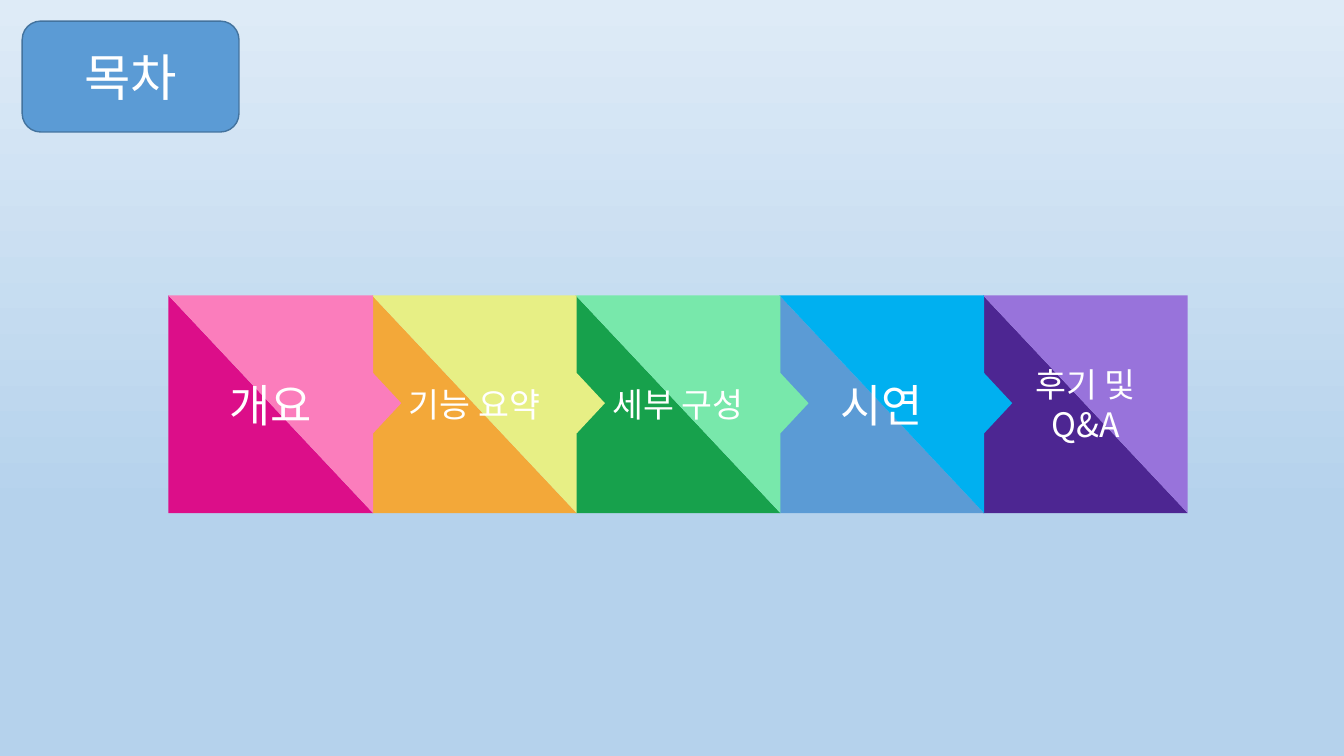
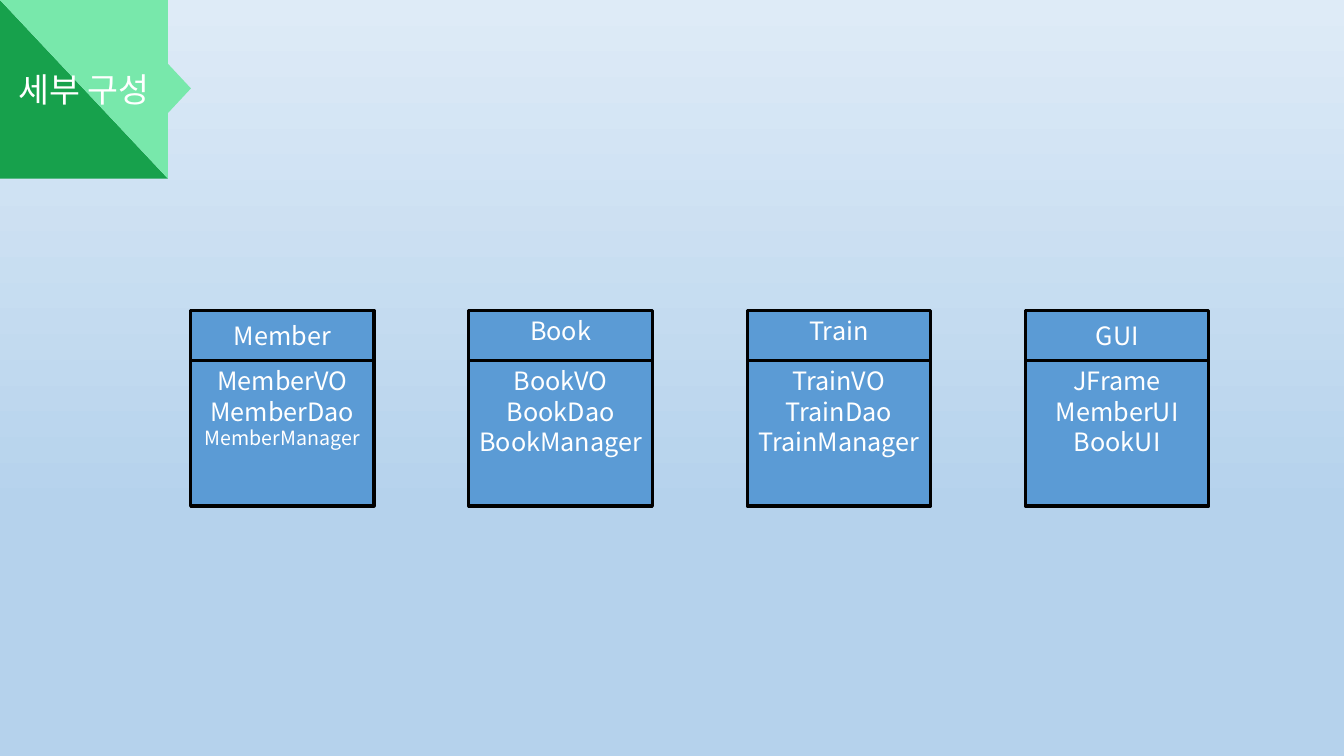
from dataclasses import dataclass

from lxml import etree
from pptx import Presentation
from pptx.dml.color import RGBColor
from pptx.enum.shapes import MSO_SHAPE as SHAPE
from pptx.enum.text import MSO_ANCHOR as ANCHOR, PP_ALIGN as ALIGN
from pptx.oxml.ns import qn
from pptx.util import Inches, Pt


@dataclass(frozen=True)
class Theme:
    """Colours, font and type sizes used on every slide."""
    font: str = "Noto Sans CJK KR"
    text: str = "FFFFFF"
    box: str = "5B9BD5"
    box_edge: str = "43739E"
    class_edge: str = "000000"
    sky: tuple = ((0, "DEEBF7"), (0.68, "B5D2EC"))
    pink: tuple = ("DC0E89", "FB7DBC")
    yellow: tuple = ("F3A839", "E7EF85")
    green: tuple = ("17A14C", "78E8AB")
    blue: tuple = ("5B9BD5", "00B0F0")
    purple: tuple = ("4D2692", "9873DB")
    title: int = 36
    large: int = 32
    medium: int = 24
    body: int = 18
    small: int = 14


T = Theme()


def add_box(shapes, kind, at, fill=None, edge=None, lines=(), anchor=ANCHOR.MIDDLE,
            margin=0.05):
    """Add a preset shape, or a text box when kind is None, with (text, size) lines."""
    at = [Inches(v) for v in at]
    if kind is None:
        sp = shapes.add_textbox(*at)
    else:
        sp = shapes.add_shape(kind, *at)
        sp.shadow.inherit = False
        sp.fill.solid()
        sp.fill.fore_color.rgb = RGBColor.from_string(fill)
        if edge:
            color, width = edge
            sp.line.color.rgb = RGBColor.from_string(color)
            sp.line.width = Pt(width)
        else:
            sp.line.fill.background()
    tf = sp.text_frame
    tf.word_wrap = True
    tf.vertical_anchor = anchor
    tf.margin_left = tf.margin_right = Inches(margin)
    for i, (text, size) in enumerate(lines):
        p = tf.add_paragraph() if i else tf.paragraphs[0]
        p.alignment = ALIGN.CENTER
        r = p.add_run()
        r.text = text
        r.font.size = Pt(size)
        r.font.color.rgb = RGBColor.from_string(T.text)
        r.font.name = T.font
        etree.SubElement(r._r.get_or_add_rPr(), qn("a:ea"), typeface=T.font)
    return sp


def add_tile(s, left, top, label, size, colors, scale=1.0, arrow=True):
    """Add a two-tone section tile, with a diamond pointing to the next one."""
    shapes = s.shapes.add_group_shape().shapes
    dark, light = colors
    at = (left, top, 2.03 * scale, 2.16 * scale)
    add_box(shapes, SHAPE.RIGHT_TRIANGLE, at, dark)
    add_box(shapes, SHAPE.RIGHT_TRIANGLE, at, light).rotation = 180
    if arrow:
        add_box(shapes, SHAPE.DIAMOND, (left + 1.75 * scale, top + 0.77 * scale,
                                        0.56 * scale, 0.6 * scale), light)
    add_box(shapes, None, at, lines=[(label, size)], margin=0.18 * scale)


prs = Presentation()
prs.slide_width, prs.slide_height = Inches(13.33), Inches(7.5)
blank = prs.slide_layouts[6]

# Shared background
sky = prs.slide_master.background.fill
sky.gradient()
sky.gradient_angle = 270
for stop, (position, color) in zip(sky.gradient_stops, T.sky):
    stop.position = position
    stop.color.rgb = RGBColor.from_string(color)

# Slide 1: contents
s = prs.slides.add_slide(blank)
sections = [
    ("개요", T.large, T.pink),
    ("기능 요약", T.medium, T.yellow),
    ("세부 구성", T.medium, T.green),
    ("시연", T.large, T.blue),
    ("후기 및 Q&A", T.medium, T.purple),
]
last = len(sections) - 1
# Right to left, so that each diamond lies over the next tile
for i in range(last, -1, -1):
    add_tile(s, 1.67 + 2.02 * i, 2.93, *sections[i], arrow=i < last)
add_box(s.shapes, SHAPE.ROUNDED_RECTANGLE, (0.22, 0.21, 2.15, 1.1), T.box,
        (T.box_edge, 1), [("목차", T.title)])

# Slide 2: classes by package
s = prs.slides.add_slide(blank)
add_tile(s, 0, 0, *sections[2], scale=0.82)
packages = [
    ("Member", ANCHOR.MIDDLE, ["MemberVO", "MemberDao", "MemberManager"]),
    ("Book", ANCHOR.TOP, ["BookVO", "BookDao", "BookManager"]),
    ("Train", ANCHOR.TOP, ["TrainVO", "TrainDao", "TrainManager"]),
    ("GUI", ANCHOR.MIDDLE, ["JFrame", "MemberUI", "BookUI"]),
]
edge = (T.class_edge, 2.25)
for i, (name, anchor, classes) in enumerate(packages):
    shapes = s.shapes.add_group_shape().shapes
    left = 1.89 + 2.76 * i
    lines = [(c, T.small if len(c) > 12 else T.body) for c in classes]
    add_box(shapes, SHAPE.RECTANGLE, (left, 3.58, 1.82, 1.44), T.box, edge, lines, ANCHOR.TOP)
    add_box(shapes, SHAPE.RECTANGLE, (left, 3.08, 1.82, 0.5), T.box, edge,
            [(name, T.body)], anchor)

prs.save("out.pptx")
